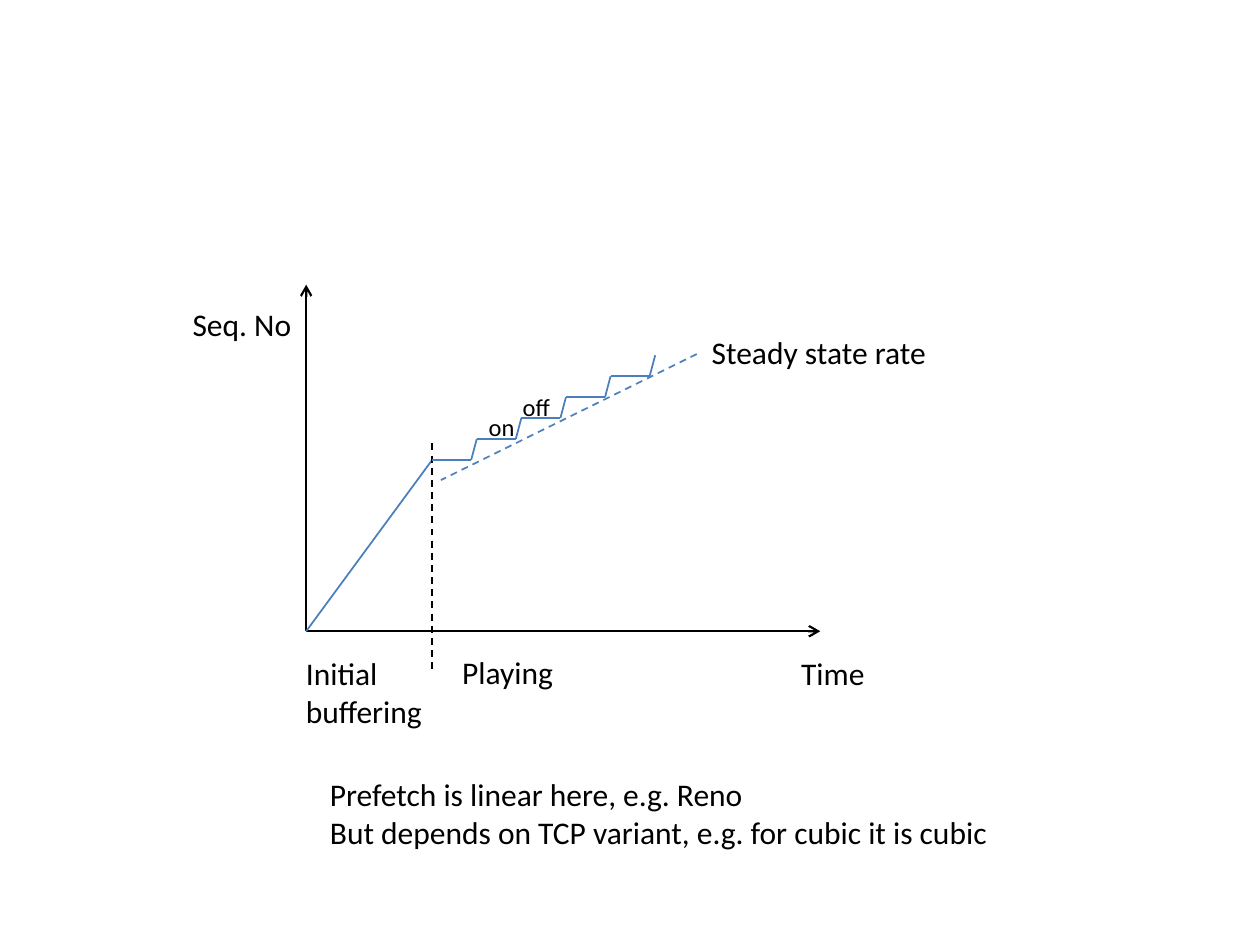
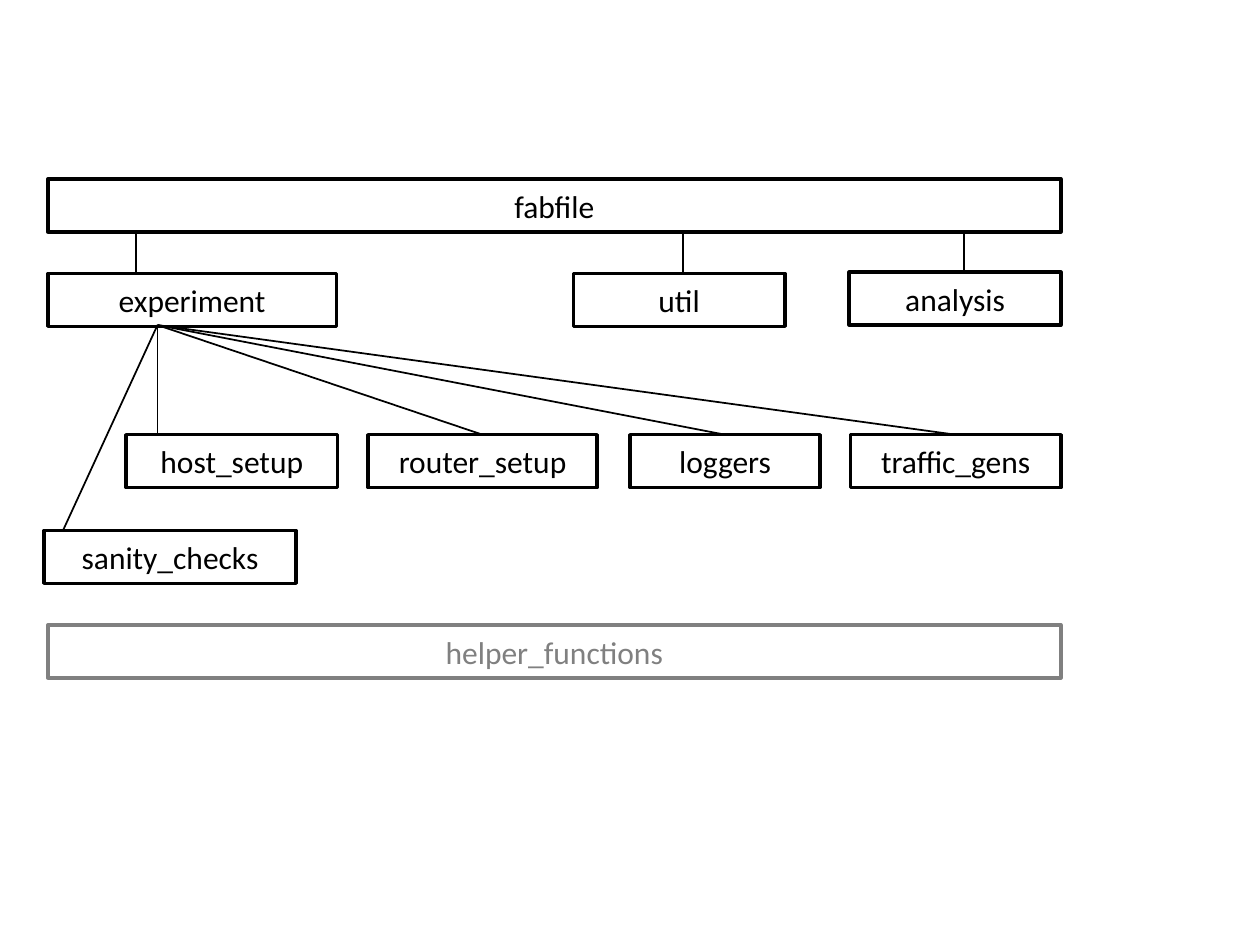
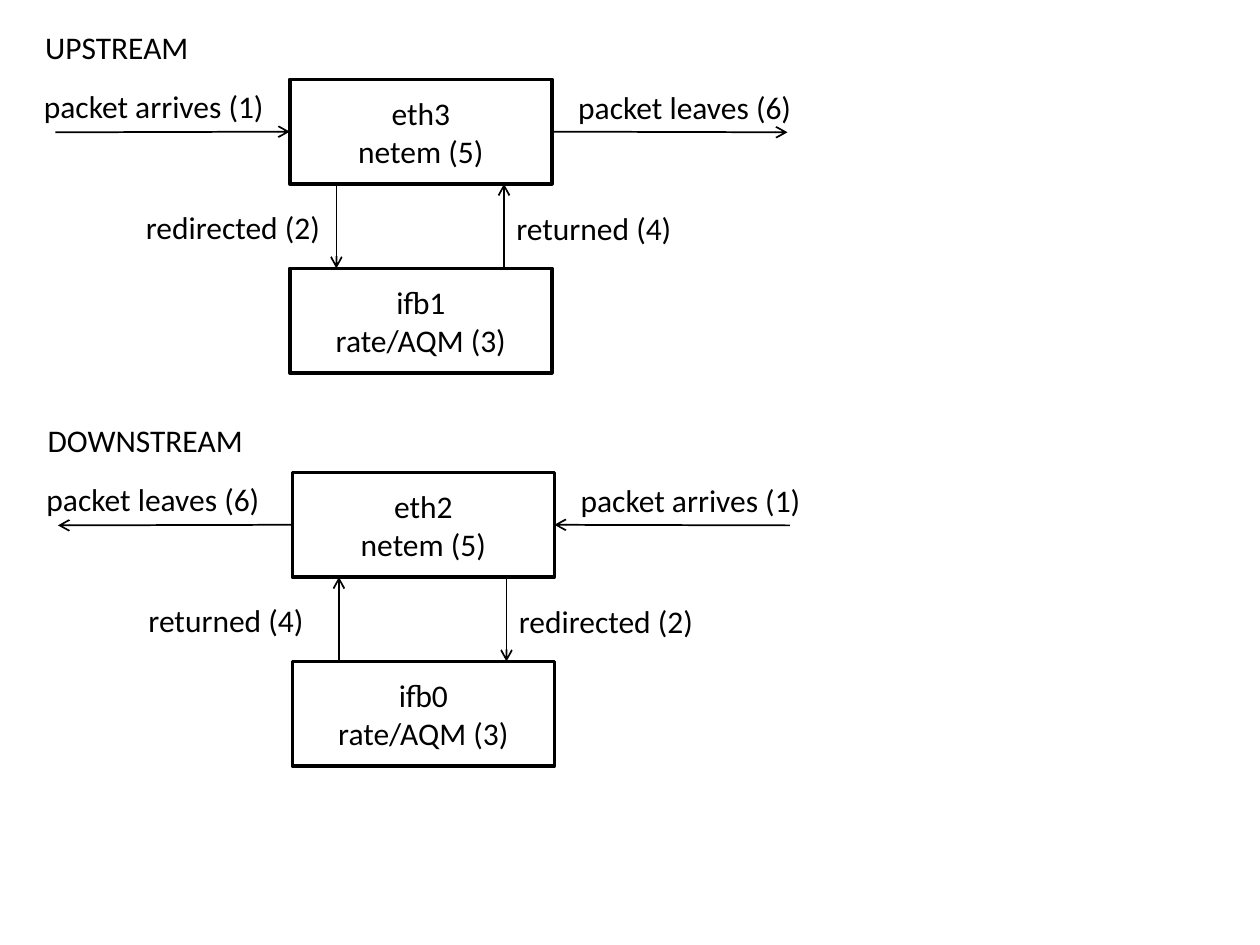
from pptx import Presentation
from pptx.dml.color import RGBColor
from pptx.enum.dml import MSO_LINE
from pptx.enum.shapes import MSO_CONNECTOR, MSO_SHAPE
from pptx.enum.text import MSO_ANCHOR, MSO_AUTO_SIZE, PP_ALIGN
from pptx.oxml.ns import qn
from pptx.util import Inches, Pt
from lxml.etree import SubElement

BLACK, GRAY, BLUE = "000000", "808080", "4B7EBC"
FONT = "Calibri"


def put(slide, text, left, top, width, height=0.4, size=18, color=BLACK, boxed=False):
    """Add a label, or an outlined rectangle with centred text when boxed."""
    area = [Inches(n) for n in (left, top, width, height)]
    if boxed:
        shape = slide.shapes.add_shape(MSO_SHAPE.RECTANGLE, *area)
        shape.shadow.inherit = False
        shape.fill.background()
        shape.line.color.rgb = RGBColor.from_string(color)
        shape.line.width = Pt(2)
    else:
        shape = slide.shapes.add_textbox(*area)
    frame = shape.text_frame
    frame.word_wrap = boxed
    frame.auto_size = MSO_AUTO_SIZE.NONE if boxed else MSO_AUTO_SIZE.SHAPE_TO_FIT_TEXT
    frame.vertical_anchor = MSO_ANCHOR.MIDDLE if boxed else MSO_ANCHOR.TOP
    for i, words in enumerate(text.split("\n")):
        para = frame.add_paragraph() if i else frame.paragraphs[0]
        para.alignment = PP_ALIGN.CENTER if boxed else PP_ALIGN.LEFT
        run = para.add_run()
        run.text = words
        run.font.name = FONT
        run.font.size = Pt(size)
        run.font.color.rgb = RGBColor.from_string(color)
    return shape


def draw(slide, x1, y1, x2, y2, color=BLACK, width=1, dash=False, arrow=False):
    """Add a straight line, with an open arrowhead at its end if asked."""
    ends = [Inches(n) for n in (x1, y1, x2, y2)]
    line = slide.shapes.add_connector(MSO_CONNECTOR.STRAIGHT, *ends)
    line.line.color.rgb = RGBColor.from_string(color)
    line.line.width = Pt(width)
    if dash:
        line.line.dash_style = MSO_LINE.DASH
    props = line._element.spPr
    if arrow:
        SubElement(props.find(qn("a:ln")), qn("a:tailEnd"), type="arrow")
    SubElement(props, qn("a:effectLst"))
    return line


deck = Presentation()
deck.slide_width, deck.slide_height = Inches(10), Inches(7.5)
blank = deck.slide_layouts[6]

# Sequence number over time
graph = deck.slides.add_slide(blank)
draw(graph, 2.43, 5.01, 2.43, 2.26, width=1.25, arrow=True)
draw(graph, 2.43, 5.01, 6.51, 5.01, width=1.25, arrow=True)
draw(graph, 2.43, 5.01, 3.43, 3.65, BLUE)
draw(graph, 3.43, 3.52, 3.43, 5.35, dash=True)
draw(graph, 5.53, 2.81, 3.5, 3.81, "4F81BD", dash=True)

STEPS = 5
run_len, rise = 1.77 / STEPS, 0.83 / STEPS
for i in range(STEPS):
    x, y = 3.43 + i * run_len, 3.65 - i * rise
    draw(graph, x, y, x + 0.31, y, BLUE)
    draw(graph, x + 0.31, y, x + run_len, y - rise, BLUE)

for text, left, top, width, height, size in [
    ("Time", 6.26, 5.14, 0.71, 0.4, 18),
    ("Seq. No", 1.43, 2.37, 0.99, 0.4, 18),
    ("Initial\nbuffering", 2.33, 5.14, 1.14, 0.71, 18),
    ("Playing", 3.57, 5.13, 0.93, 0.4, 18),
    ("Prefetch is linear here, e.g. Reno\n"
     "But depends on TCP variant, e.g. for cubic it is cubic", 2.52, 6.1, 5.48, 0.71, 18),
    ("on", 3.78, 3.22, 0.41, 0.34, 14),
    ("off", 4.05, 3.06, 0.42, 0.34, 14),
    ("Steady state rate", 5.55, 2.59, 1.92, 0.4, 18),
]:
    put(graph, text, left, top, width, height, size)

# Module tree
tree = deck.slides.add_slide(blank)
boxes = {}
for name, left, top, width, color in [
    ("fabfile", 0.38, 1.42, 8.04, BLACK),
    ("experiment", 0.38, 2.17, 2.29, BLACK),
    ("util", 4.55, 2.17, 1.68, BLACK),
    ("analysis", 6.74, 2.16, 1.68, BLACK),
    ("host_setup", 1, 3.45, 1.68, BLACK),
    ("router_setup", 2.92, 3.45, 1.82, BLACK),
    ("loggers", 5, 3.45, 1.51, BLACK),
    ("traffic_gens", 6.75, 3.45, 1.67, BLACK),
    ("sanity_checks", 0.35, 4.21, 2, BLACK),
    ("helper_functions", 0.38, 4.96, 8.04, GRAY),
]:
    boxes[name] = put(tree, name, left, top, width, 0.42, color=color, boxed=True)

for x in (1.08, 5.42, 7.65):
    draw(tree, x, 1.83, x, 2.17)
for x, y in [(0.5, 4.21), (1.25, 3.45)]:
    draw(tree, 1.25, 2.58, x, y)
for name, x in [("router_setup", 3.83), ("loggers", 5.75), ("traffic_gens", 7.58)]:
    draw(tree, 1.25, 2.58, x, 3.45).end_connect(boxes[name], 0)

# Packet flow in both directions
flow = deck.slides.add_slide(blank)
ARRIVE, LEAVE = ("packet arrives (1)", 1.97), ("packet leaves (6)", 1.91)
SEND, BACK = ("redirected (2)", 1.6), ("returned (4)", 1.45)
for title, wide, card, queue, dx, dy, labels in [
    ("UPSTREAM", 1.35, "eth3", "ifb1", 0, 0, (ARRIVE, LEAVE, SEND, BACK)),
    ("DOWNSTREAM", 1.76, "eth2", "ifb0", 0.02, 3.12, (LEAVE, ARRIVE, BACK, SEND)),
]:
    put(flow, title, 0.26 + dx, 0.17 + dy, wide)
    upper = put(flow, f"{card}\nnetem (5)", 2.3 + dx, 0.63 + dy, 2.08, 0.83, boxed=True)
    put(flow, f"{queue}\nrate/AQM (3)", 2.3 + dx, 2.13 + dy, 2.08, 0.83, boxed=True)
    spots = [(0.25, 0.64), (4.49, 0.65), (1.06, 1.6), (4, 1.61)]
    for (text, width), (left, top) in zip(labels, spots):
        put(flow, text, left + dx, top + dy, width)

    mid, high, low = 1.05 + dy, 1.46 + dy, 2.13 + dy
    down, up = (2.67, 4) if labels[2] == SEND else (4, 2.67)
    draw(flow, down + dx, high, down + dx, low, arrow=True)
    draw(flow, up + dx, low, up + dx, high, arrow=True)
    for side, label, near, far in [(1, labels[0], 2.3, 0.44), (3, labels[1], 4.38, 6.25)]:
        if label == ARRIVE:
            line = draw(flow, far + dx, mid, near + dx, mid, arrow=True)
            line.end_connect(upper, side)
        else:
            line = draw(flow, near + dx, mid, far + dx, mid, arrow=True)
            line.begin_connect(upper, side)

deck.save("out.pptx")
